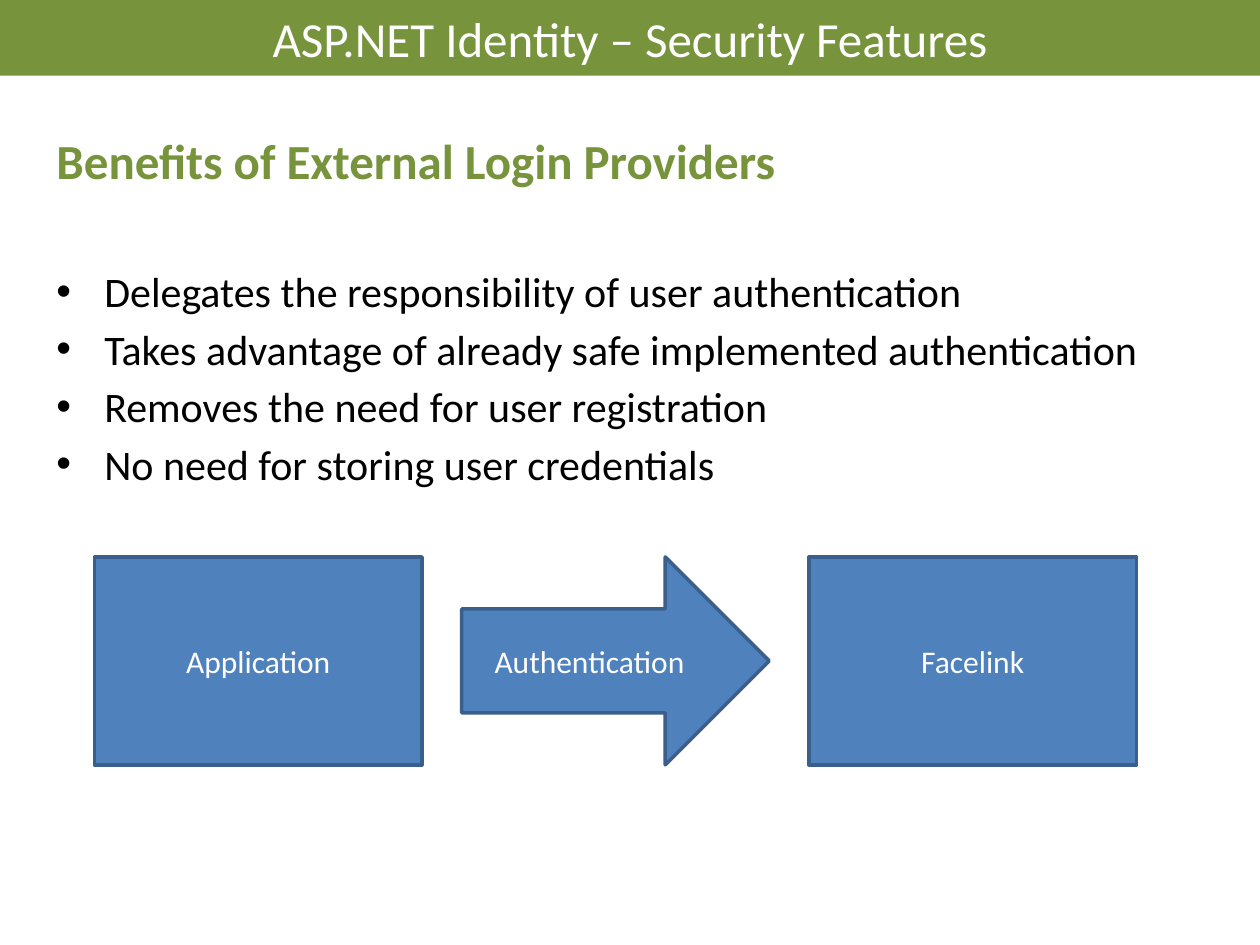
"""Build the slide on the benefits of external login providers."""
from dataclasses import dataclass

from lxml.etree import SubElement
from pptx import Presentation
from pptx.dml.color import RGBColor as Color
from pptx.enum.shapes import MSO_SHAPE as Preset
from pptx.enum.text import MSO_ANCHOR as Anchor, PP_ALIGN as Align
from pptx.oxml.ns import qn
from pptx.util import Inches, Pt

TITLE = "ASP.NET Identity – Security Features"
HEADING = "Benefits of External Login Providers"
BENEFITS = [
    "Delegates the responsibility of user authentication",
    "Takes advantage of already safe implemented authentication",
    "Removes the need for user registration",
    "No need for storing user credentials",
]
FLOW = [
    ("Application", Preset.RECTANGLE, 2.6),
    ("Authentication", Preset.RIGHT_ARROW, 2.44),
    ("Facelink", Preset.RECTANGLE, 2.6),
]

SLIDE_WIDTH, SLIDE_HEIGHT = 10, 7.5
TITLE_HEIGHT = 0.08 * SLIDE_HEIGHT
BODY = (0.35, 0.99, 9.37, 5.51)
FLOW_LEFT, FLOW_RIGHT, FLOW_TOP, FLOW_HEIGHT = 0.75, 9.02, 4.42, 1.65
BULLET_INDENT = 0.38


@dataclass(frozen=True)
class Theme:
    font: str = "Calibri"
    green: str = "77933C"
    blue: str = "4F81BD"
    outline: str = "3A5F8C"
    white: str = "FFFFFF"
    black: str = "000000"
    heading_size: float = 28
    bullet_size: float = 24
    label_size: float = 18
    line_width: float = 2
    heading_gap: float = 39.2
    bullet_gap: float = 4.1


THEME = Theme()


def add_run(paragraph, text, size, color, bold=False):
    """Add one styled run to a paragraph."""
    run = paragraph.add_run()
    run.text = text
    run.font.name = THEME.font
    run.font.size = Pt(size)
    run.font.bold = bold
    run.font.color.rgb = Color.from_string(color)


def add_block(slide, preset, box, text, size, fill, outline=None):
    """Add a filled shape with a centred white label."""
    shape = slide.shapes.add_shape(preset, *map(Inches, box))
    shape.shadow.inherit = False
    shape.fill.solid()
    shape.fill.fore_color.rgb = Color.from_string(fill)
    if outline:
        shape.line.color.rgb = Color.from_string(outline)
        shape.line.width = Pt(THEME.line_width)
    else:
        shape.line.fill.background()
    shape.text_frame.word_wrap = True
    shape.text_frame.vertical_anchor = Anchor.MIDDLE
    paragraph = shape.text_frame.paragraphs[0]
    paragraph.alignment = Align.CENTER
    add_run(paragraph, text, size, THEME.white)


def add_bullet(paragraph):
    """Give a paragraph a bullet with a hanging indent."""
    properties = paragraph._p.get_or_add_pPr()
    properties.set("marL", str(Inches(BULLET_INDENT)))
    properties.set("indent", str(-Inches(BULLET_INDENT)))
    SubElement(properties, qn("a:buFont"), typeface="Arial")
    SubElement(properties, qn("a:buChar"), char="•")


def add_body(slide):
    """Add the heading and the list of benefits."""
    frame = slide.shapes.add_textbox(*map(Inches, BODY)).text_frame
    frame.word_wrap = True
    heading = frame.paragraphs[0]
    heading.space_after = Pt(THEME.heading_gap)
    add_run(heading, HEADING, THEME.heading_size, THEME.green, bold=True)
    for benefit in BENEFITS:
        paragraph = frame.add_paragraph()
        paragraph.space_before = Pt(THEME.bullet_gap)
        add_bullet(paragraph)
        add_run(paragraph, benefit, THEME.bullet_size, THEME.black)


def add_flow(slide):
    """Add the flow shapes with equal gaps from left to right."""
    used = sum(width for _, _, width in FLOW)
    gap = (FLOW_RIGHT - FLOW_LEFT - used) / (len(FLOW) - 1)
    left = FLOW_LEFT
    for label, preset, width in FLOW:
        box = (left, FLOW_TOP, width, FLOW_HEIGHT)
        add_block(slide, preset, box, label, THEME.label_size, THEME.blue, THEME.outline)
        left += width + gap


def main():
    """Build and save the presentation."""
    presentation = Presentation()
    presentation.slide_width = Inches(SLIDE_WIDTH)
    presentation.slide_height = Inches(SLIDE_HEIGHT)
    slide = presentation.slides.add_slide(presentation.slide_layouts[6])
    title_box = (0, 0, SLIDE_WIDTH, TITLE_HEIGHT)
    add_block(slide, Preset.RECTANGLE, title_box, TITLE, THEME.heading_size, THEME.green)
    add_body(slide)
    add_flow(slide)
    presentation.save("out.pptx")


if __name__ == "__main__":
    main()
